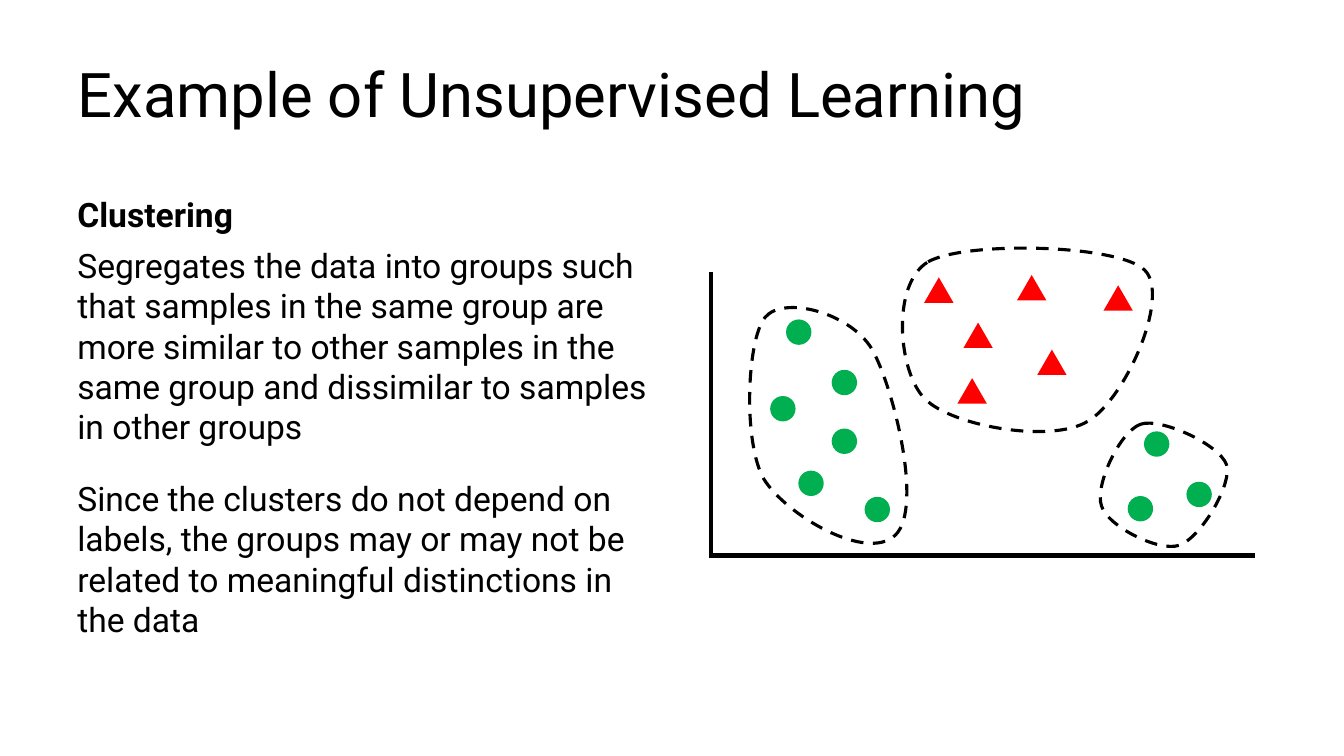
from lxml import etree
from pptx import Presentation
from pptx.dml.color import RGBColor
from pptx.enum.dml import MSO_LINE
from pptx.enum.shapes import MSO_CONNECTOR, MSO_SHAPE
from pptx.enum.text import MSO_ANCHOR, MSO_AUTO_SIZE, PP_ALIGN
from pptx.oxml.ns import qn
from pptx.util import Cm, Pt

FONT = "Roboto"
BLACK, GREEN, RED = "000000", "00B050", "FF0000"
MARK_HEIGHT = 0.64

LEFT_CIRCLES = [(20.96, 10.8), (19.41, 9.98), (19.81, 8.05),
                (20.12, 11.86), (20.96, 9.32), (21.79, 12.52)]
TRIANGLES = [(24.28, 8.13), (25.63, 6.93), (26.14, 8.81),
             (23.29, 6.99), (24.13, 9.53), (27.81, 7.19)]
RIGHT_CIRCLES = [(29.9, 12.14), (28.42, 12.5), (28.83, 10.87)]

CLUSTER_OUTLINES = [
    ((22.76, 6.25, 6.3, 4.62),
     [(23.39, 6.6), (24.31, 6.07), (28.19, 6.15),
      (28.85, 6.81), (29.51, 7.47), (28.35, 10.08),
      (27.41, 10.62), (26.49, 11.18), (24, 10.74),
      (23.32, 10.06), (22.63, 9.4), (22.45, 7.16)]),
    ((18.9, 7.75, 3.96, 5.94),
     [(19.28, 8), (19.74, 7.44), (21.41, 7.87),
      (21.97, 8.79), (22.5, 9.7), (23.29, 12.8),
      (22.56, 13.49), (21.84, 14.17), (19.81, 12.98),
      (19.25, 12.07), (18.72, 11.15), (18.82, 8.56)]),
    ((27.74, 10.67, 3.2, 3.1),
     [(28.75, 10.69), (29.26, 10.52), (30.73, 11.2),
      (30.91, 11.71), (31.06, 12.22), (30.25, 13.56),
      (29.72, 13.74), (29.21, 13.92), (27.91, 13.26),
      (27.76, 12.75), (27.58, 12.24), (28.22, 10.87)]),
]


def color(value):
    return RGBColor.from_string(value)


def add_run(p, text, size, bold=False):
    r = p.add_run()
    r.text = text
    r.font.name = FONT
    r.font.size = Pt(size)
    r.font.bold = bold
    r.font.color.rgb = color(BLACK)


def set_title(s, text):
    sp = s.shapes.title
    sp.left, sp.top, sp.width, sp.height = Cm(1.7), Cm(0.76), Cm(30.48), Cm(3.18)
    tf = sp.text_frame
    tf.vertical_anchor = MSO_ANCHOR.MIDDLE
    p = tf.paragraphs[0]
    p.alignment = PP_ALIGN.LEFT
    add_run(p, text, 44)


def add_text(s, top, height, texts, anchor=MSO_ANCHOR.TOP, bold=False):
    sp = s.shapes.add_textbox(Cm(1.7), Cm(top), Cm(14.96), Cm(height))
    tf = sp.text_frame
    tf.word_wrap = True
    tf.auto_size = MSO_AUTO_SIZE.NONE
    tf.vertical_anchor = anchor
    for i, text in enumerate(texts):
        p = tf.add_paragraph() if i else tf.paragraphs[0]
        if i:
            p.space_before = Pt(22.3)
        add_run(p, text, 24, bold)


def add_axis(s, x1, y1, x2, y2):
    line = s.shapes.add_connector(MSO_CONNECTOR.STRAIGHT, Cm(x1), Cm(y1), Cm(x2), Cm(y2))
    line.line.color.rgb = color(BLACK)
    line.line.width = Pt(3)
    etree.SubElement(line._element.spPr, qn("a:effectLst"))


def add_marks(s, kind, width, fill, positions):
    for x, y in positions:
        sp = s.shapes.add_shape(kind, Cm(x), Cm(y), Cm(width), Cm(MARK_HEIGHT))
        sp.shadow.inherit = False
        sp.fill.solid()
        sp.fill.fore_color.rgb = color(fill)
        sp.line.fill.background()


def add_path_step(path, tag, points, left, top):
    step = etree.SubElement(path, qn(tag))
    for x, y in points:
        etree.SubElement(step, qn("a:pt"), x=str(Cm(x - left)), y=str(Cm(y - top)))


def add_outline(s, box, points):
    left, top, width, height = box
    right, bottom = left + width, top + height
    builder = s.shapes.build_freeform(Cm(left), Cm(top))
    builder.add_line_segments([(Cm(right), Cm(top)), (Cm(right), Cm(bottom)),
                               (Cm(left), Cm(bottom))], close=True)
    sp = builder.convert_to_shape()
    path = next(sp._element.iter(qn("a:path")))
    for step in list(path):
        path.remove(step)
    closed = points + points[:1]
    add_path_step(path, "a:moveTo", closed[:1], left, top)
    for i in range(1, len(closed), 3):
        add_path_step(path, "a:cubicBezTo", closed[i:i + 3], left, top)
    etree.SubElement(path, qn("a:close"))
    sp.shadow.inherit = False
    sp.fill.background()
    sp.line.color.rgb = color(BLACK)
    sp.line.width = Pt(2.25)
    sp.line.dash_style = MSO_LINE.DASH


def main():
    prs = Presentation()
    prs.slide_width, prs.slide_height = Cm(33.87), Cm(19.05)
    s = prs.slides.add_slide(prs.slide_layouts[5])
    set_title(s, "Example of Unsupervised Learning")
    add_text(s, 4.25, 1.78, ["Clustering"], MSO_ANCHOR.BOTTOM, bold=True)
    add_text(s, 6.05, 10.97, [
        "Segregates the data into groups such that samples in the same group are more "
        "similar to other samples in the same group and dissimilar to samples in other groups",
        "Since the clusters do not depend on labels, the groups may or may not be related "
        "to meaningful distinctions in the data",
    ])
    add_axis(s, 31.62, 14, 17.91, 14)
    add_axis(s, 17.91, 6.86, 17.91, 14.05)
    add_marks(s, MSO_SHAPE.OVAL, MARK_HEIGHT, GREEN, LEFT_CIRCLES)
    add_marks(s, MSO_SHAPE.ISOSCELES_TRIANGLE, 0.74, RED, TRIANGLES)
    add_marks(s, MSO_SHAPE.OVAL, MARK_HEIGHT, GREEN, RIGHT_CIRCLES)
    for box, points in CLUSTER_OUTLINES:
        add_outline(s, box, points)
    prs.save("out.pptx")


if __name__ == "__main__":
    main()
